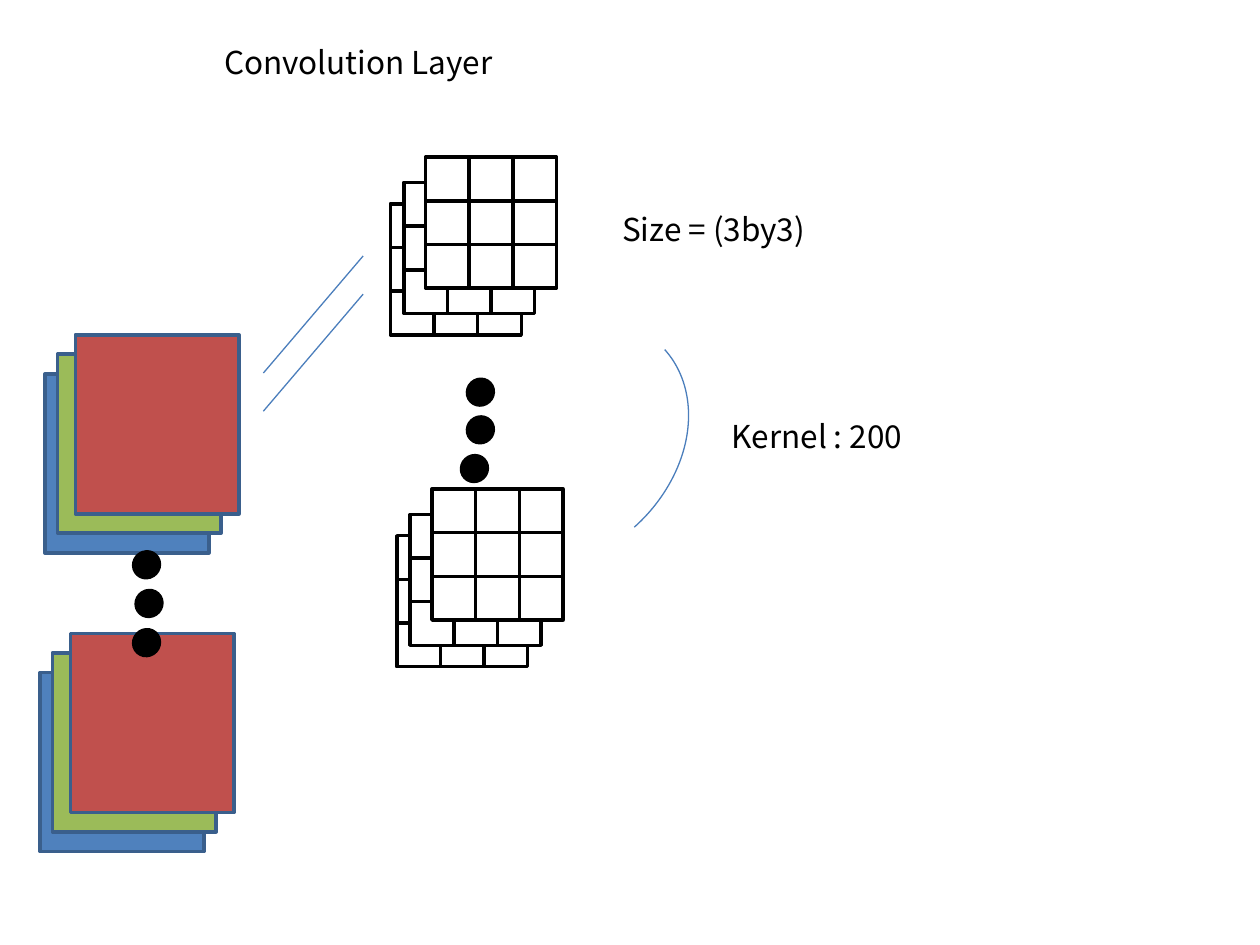
from dataclasses import dataclass
from itertools import product

from pptx import Presentation
from pptx import util as u
from pptx.dml.color import RGBColor
from pptx.enum import shapes, text
from pptx.oxml.ns import qn
from lxml import etree


@dataclass(frozen=True)
class Theme:
    font: str = "Noto Sans CJK KR"
    size: float = 18
    ink: str = "000000"
    white: str = "FFFFFF"
    edge: str = "3A5F8C"
    link: str = "4B7EBC"
    panes: tuple = ("4F81BD", "9BBB59", "C0504D")
    thick: float = 2
    thin: float = 0.75


class Board:
    def __init__(self, slide, theme):
        self.slide, self.theme = slide, theme

    def group(self):
        return self.slide.shapes.add_group_shape().shapes

    def line(self, item, color, width):
        item.line.color.rgb = RGBColor.from_string(color)
        item.line.width = u.Pt(width)

    def shape(self, home, kind, box, fill, edge, width, turn=0):
        item = home.add_shape(kind, *map(u.Cm, box))
        item.shadow.inherit = False
        item.rotation = turn
        if fill:
            item.fill.solid()
            item.fill.fore_color.rgb = RGBColor.from_string(fill)
        else:
            item.fill.background()
        self.line(item, edge, width)

    def label(self, words, box):
        frame = self.slide.shapes.add_textbox(*map(u.Cm, box)).text_frame
        format = {"word_wrap": True,
                  "auto_size": text.MSO_AUTO_SIZE.SHAPE_TO_FIT_TEXT}
        for key, value in format.items():
            setattr(frame, key, value)
        run = frame.paragraphs[0].add_run()
        run.text = words
        style = {"name": self.theme.font, "size": u.Pt(self.theme.size)}
        for key, value in style.items():
            setattr(run.font, key, value)
        run.font.color.rgb = RGBColor.from_string(self.theme.ink)

    def link(self, start, end):
        item = self.slide.shapes.add_connector(
            shapes.MSO_CONNECTOR.STRAIGHT, *map(u.Cm, start + end))
        self.line(item, self.theme.link, self.theme.thin)
        etree.SubElement(item.element.spPr, qn("a:effectLst"))

    def maps(self, x, y):
        """Three stacked input channels, back to front."""
        home, t = self.group(), self.theme
        shifts = ((0, 0), (0.25, -0.4), (0.61, -0.79))
        for (dx, dy), fill in zip(shifts, t.panes):
            self.shape(home, shapes.MSO_SHAPE.RECTANGLE,
                       (x + dx, y + dy, 3.3, 3.61), fill, t.edge, t.thick)

    def kernel(self, x, y, cell=0.88):
        """Three stacked 3 by 3 grids, back to front."""
        home, t = self.group(), self.theme
        for dx, dy in ((0, 0), (0.27, -0.43), (0.71, -0.94)):
            for row, col in product(range(3), repeat=2):
                box = (x + dx + col * cell, y + dy + row * cell, cell, cell)
                self.shape(home, shapes.MSO_SHAPE.RECTANGLE, box,
                           t.white, t.ink, t.thick)

    def dots(self, spots, turn):
        home, t = self.group(), self.theme
        for x, y in spots:
            self.shape(home, shapes.MSO_SHAPE.OVAL, (x, y, 0.53, 0.51),
                       t.ink, t.ink, t.thick, turn)


deck = Presentation()
deck.slide_width, deck.slide_height = u.Cm(25.4), u.Cm(19.05)
theme = Theme()
board = Board(deck.slides.add_slide(deck.slide_layouts[6]), theme)

# Input maps and kernels
board.maps(0.91, 7.54)
board.kernel(8, 10.8)
board.kernel(7.87, 4.11)
board.dots(((9.3, 9.19), (9.42, 8.41), (9.42, 7.65)), 316.9)
board.maps(0.81, 13.56)
board.dots(((2.69, 12.7), (2.74, 11.91), (2.69, 11.13)), 312.3)

# Labels
board.label("Convolution Layer", (4.27, 0.74, 6.07, 1.02))
board.label("Size = (3by3)", (12.29, 4.11, 4.39, 1.02))
board.label("Kernel : 200", (14.5, 8.28, 6.2, 1.02))

# Arc beside the kernels
board.shape(board.slide.shapes, shapes.MSO_SHAPE.ARC,
            (9.02, 6.1, 4.52, 5.69), None, theme.link, theme.thin, 48.2)

# Links from maps to kernels
for drop in (0, 0.77):
    board.link((5.31, 7.52 + drop), (7.32, 5.16 + drop))

deck.save("out.pptx")
